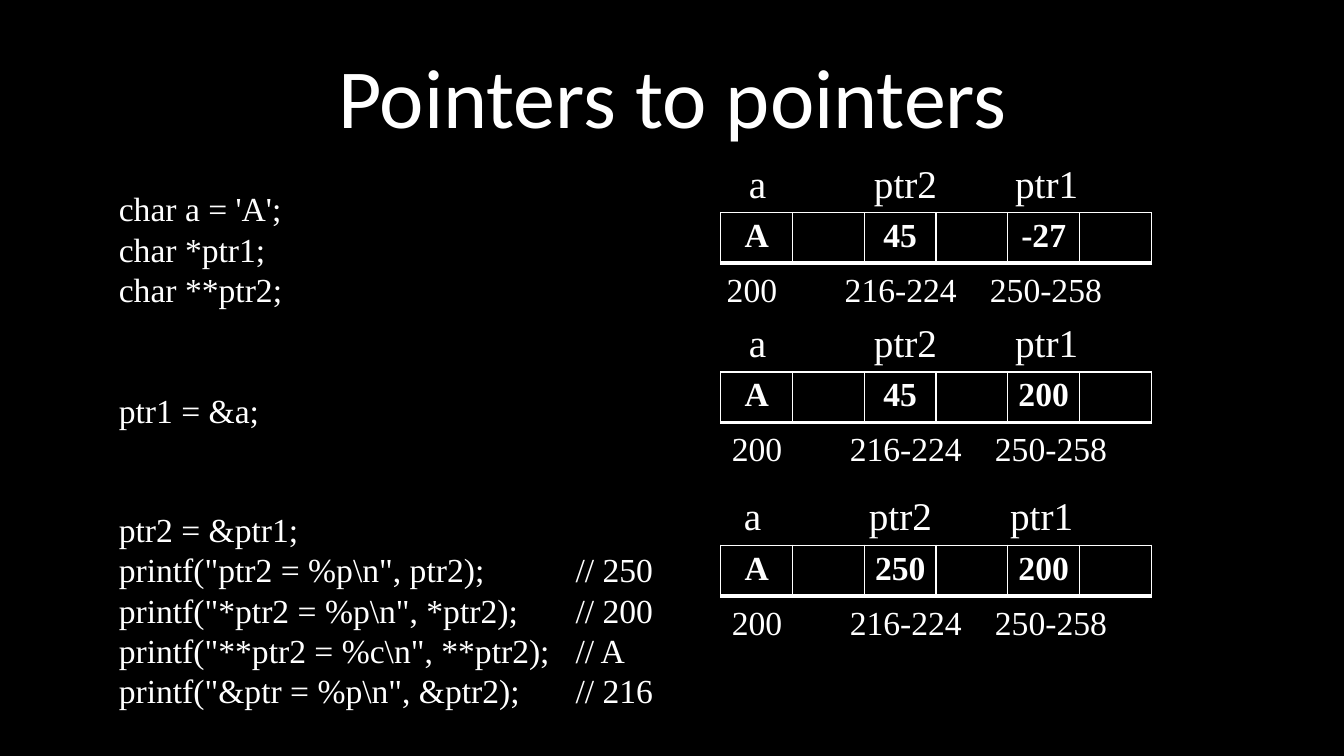
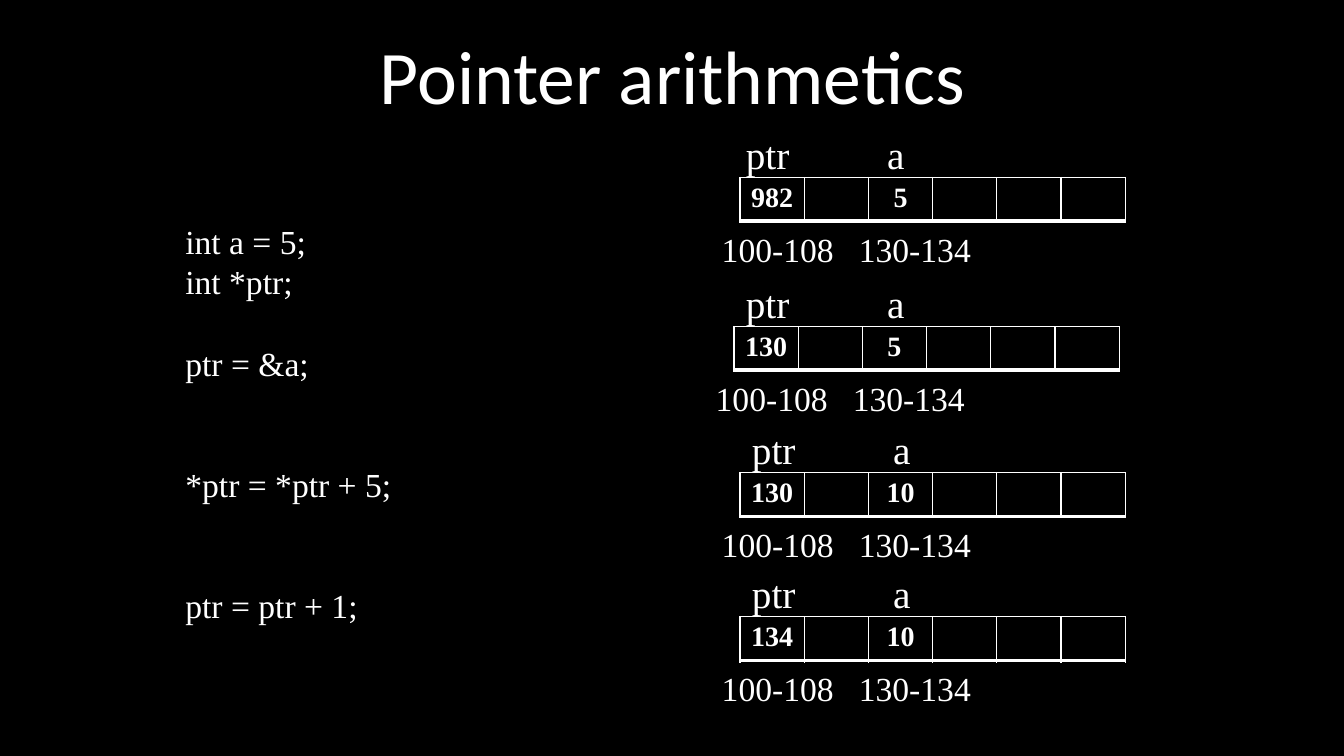
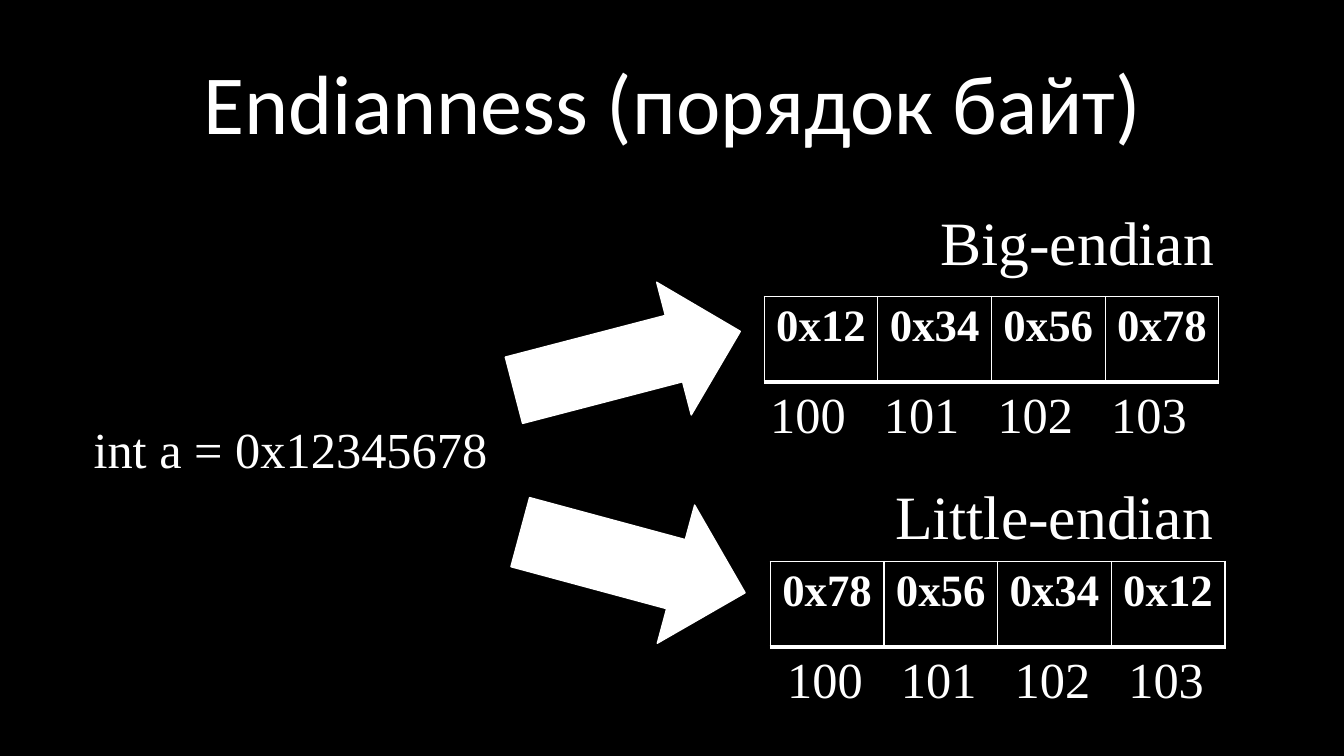
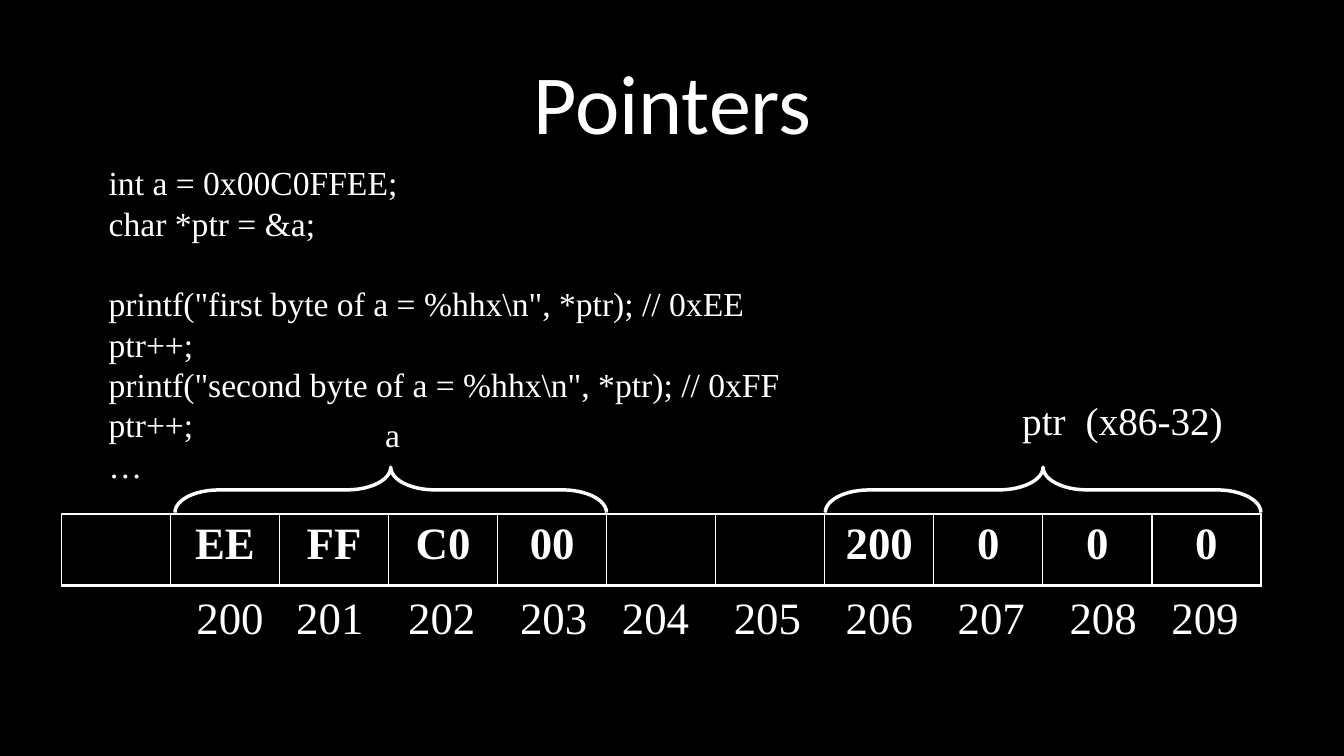
from dataclasses import dataclass

import pptx
import pptx.dml.color
import pptx.enum.shapes
import pptx.enum.text
import pptx.oxml.ns
import pptx.oxml.xmlchemy
import pptx.presentation
import pptx.shapes.autoshape
import pptx.slide
import pptx.util
from lxml import etree

Inches = pptx.util.Inches
Pt = pptx.util.Pt
qn = pptx.oxml.ns.qn

COLORS = {"ground": "000000", "ink": "FFFFFF"}
TITLE_FONT = "Calibri"
TEXT_FONT = "Times New Roman"
LINE_FACTOR = 1.2
CODE_SIZE = 24
BORDERS = {"lnL": 1, "lnR": 1, "lnT": 1, "lnB": 3}


@dataclass(frozen=True)
class Note:
    left: float
    top: float
    width: float
    lines: tuple[str, ...]
    size: float = CODE_SIZE
    tabs: tuple[float, ...] = ()


@dataclass(frozen=True)
class Strip:
    left: float
    top: float
    width: float
    height: float
    cells: tuple[str, ...]
    size: float


@dataclass(frozen=True)
class MemoryStyle:
    width: float
    height: float
    size: float
    labels: str
    label_rise: float
    label_tabs: tuple[float, ...]
    addresses: str
    address_drop: float
    address_tabs: tuple[float, ...]


@dataclass(frozen=True)
class MemoryState:
    left: float
    top: float
    cells: tuple[str, ...]
    label_left: float
    address_left: float


@dataclass(frozen=True)
class Endian:
    name: str
    name_left: float
    name_top: float
    name_width: float
    left: float
    top: float
    cells: tuple[str, ...]
    address_left: float


@dataclass(frozen=True)
class Figure:
    kind: pptx.enum.shapes.MSO_SHAPE
    left: float
    top: float
    width: float
    height: float
    rotation: float
    line_width: float
    filled: bool = True
    adjustments: tuple[float, ...] = ()


def color(name: str) -> pptx.dml.color.RGBColor:
    return pptx.dml.color.RGBColor.from_string(COLORS[name])


def style_font(para, face: str, size: float, bold: bool = False) -> None:
    para.font.name = face
    para.font.size = Pt(size)
    para.font.bold = bold
    para.font.color.rgb = color("ink")


def add_page(deck: pptx.presentation.Presentation, title: str, top: float = 0.29,
             height: float = 1.27, size: float = 60) -> pptx.slide.Slide:
    page = deck.slides.add_slide(deck.slide_layouts[6])
    box = page.shapes.add_textbox(Inches(1.74), Inches(top), Inches(9.86), Inches(height))
    frame = box.text_frame
    frame.word_wrap = True
    frame.vertical_anchor = pptx.enum.text.MSO_ANCHOR.BOTTOM
    para = frame.paragraphs[0]
    para.text = title
    para.alignment = pptx.enum.text.PP_ALIGN.CENTER
    para.line_spacing = 0.9
    style_font(para, TITLE_FONT, size)
    return page


def add_tabs(para, tabs: tuple[float, ...]) -> None:
    properties = para._p.get_or_add_pPr()
    tab_list = etree.Element(qn("a:tabLst"))
    for position in tabs:
        etree.SubElement(tab_list, qn("a:tab"), pos=str(Inches(position)), algn="l")
    properties.find(qn("a:defRPr")).addprevious(tab_list)


def add_note(page: pptx.slide.Slide, note: Note) -> None:
    pitch = note.size * LINE_FACTOR
    height = Inches(0.1) + Pt(pitch * len(note.lines))
    box = page.shapes.add_textbox(Inches(note.left), Inches(note.top), Inches(note.width), height)
    frame = box.text_frame
    frame.word_wrap = True
    para = frame.paragraphs[0]
    gap = 0
    for index, line in enumerate(note.lines):
        if not line:
            gap += 1
            continue
        if index:
            para = frame.add_paragraph()
        para.text = line
        para.line_spacing = Pt(pitch)
        para.space_before = Pt(pitch * gap)
        style_font(para, TEXT_FONT, note.size)
        if note.tabs:
            add_tabs(para, note.tabs)
        gap = 0


def add_borders(cell) -> None:
    properties = cell._tc.get_or_add_tcPr()
    for index, (side, width) in enumerate(BORDERS.items()):
        line = etree.Element(qn(f"a:{side}"), w=str(Pt(width)))
        fill = etree.SubElement(line, qn("a:solidFill"))
        etree.SubElement(fill, qn("a:srgbClr"), val=COLORS["ink"])
        properties.insert(index, line)


def add_strip(page: pptx.slide.Slide, strip: Strip) -> None:
    table = page.shapes.add_table(
        1, len(strip.cells), Inches(strip.left), Inches(strip.top),
        Inches(strip.width), Inches(strip.height)).table
    table.first_row = False
    table.horz_banding = False
    for cell, value in zip(table.rows[0].cells, strip.cells):
        cell.fill.solid()
        cell.fill.fore_color.rgb = color("ground")
        para = cell.text_frame.paragraphs[0]
        para.text = value
        para.alignment = pptx.enum.text.PP_ALIGN.CENTER
        style_font(para, TEXT_FONT, strip.size, bold=True)
        add_borders(cell)


def add_memory(page: pptx.slide.Slide, style: MemoryStyle, state: MemoryState) -> None:
    add_strip(page, Strip(state.left, state.top, style.width, style.height,
                          state.cells, style.size))
    add_note(page, Note(state.label_left, state.top - style.label_rise, 4.5,
                        (style.labels,), 28, style.label_tabs))
    add_note(page, Note(state.address_left, state.top + style.address_drop, 4.5,
                        (style.addresses,), 24, style.address_tabs))


def add_figure(page: pptx.slide.Slide, figure: Figure) -> None:
    shape = page.shapes.add_shape(figure.kind, Inches(figure.left), Inches(figure.top),
                                  Inches(figure.width), Inches(figure.height))
    shape.shadow.inherit = False
    shape.rotation = figure.rotation
    for index, value in enumerate(figure.adjustments):
        shape.adjustments[index] = value
    if figure.filled:
        shape.fill.solid()
        shape.fill.fore_color.rgb = color("ink")
    else:
        shape.fill.background()
    shape.line.color.rgb = color("ink")
    shape.line.width = Pt(figure.line_width)


def build_pointers_to_pointers(deck: pptx.presentation.Presentation) -> None:
    page = add_page(deck, "Pointers to pointers", top=0.23)
    add_note(page, Note(1.08, 1.82, 2.49, (
        "char a = 'A';", "char *ptr1;", "char **ptr2;", "", "", "ptr1 = &a;")))
    add_note(page, Note(1.08, 5, 6, (
        "ptr2 = &ptr1;",
        'printf("ptr2 = %p\\n", ptr2);\t// 250',
        'printf("*ptr2 = %p\\n", *ptr2);\t// 200',
        'printf("**ptr2 = %c\\n", **ptr2);\t// A',
        'printf("&ptr = %p\\n", &ptr2);\t// 216'), tabs=(4.53,)))
    style = MemoryStyle(4.27, 0.5, 24, "a\tptr2\tptr1", 0.58, (1.24, 2.64),
                        "200\t216-224\t250-258", 0.51, (1.17, 2.61))
    for state in (
        MemoryState(7.15, 2.11, ("A", "", "45", "", "-27", ""), 7.33, 7.11),
        MemoryState(7.15, 3.69, ("A", "", "45", "", "200", ""), 7.33, 7.16),
        MemoryState(7.15, 5.41, ("A", "", "250", "", "200", ""), 7.28, 7.16),
    ):
        add_memory(page, style, state)


def build_pointer_arithmetics(deck: pptx.presentation.Presentation) -> None:
    page = add_page(deck, "Pointer arithmetics", top=0.28, height=0.97, size=54)
    add_note(page, Note(1.74, 2.14, 3, ("int a = 5;", "int *ptr;")))
    add_note(page, Note(1.74, 3.35, 3, (
        "ptr = &a;", "", "", "*ptr = *ptr + 5;", "", "", "ptr = ptr + 1;")))
    style = MemoryStyle(3.82, 0.43, 20, "ptr\ta", 0.52, (1.4,),
                        "100-108\t130-134", 0.46, (1.36,))
    for state in (
        MemoryState(7.34, 1.76, ("982", "", "5", "", "", ""), 7.3, 7.06),
        MemoryState(7.28, 3.24, ("130", "", "5", "", "", ""), 7.3, 7),
        MemoryState(7.34, 4.69, ("130", "", "10", "", "", ""), 7.36, 7.06),
        MemoryState(7.34, 6.12, ("134", "", "10", "", "", ""), 7.36, 7.06),
    ):
        add_memory(page, style, state)


def build_endianness(deck: pptx.presentation.Presentation) -> None:
    page = add_page(deck, "Endianness (порядок байт)")
    add_note(page, Note(0.83, 4.1, 4.2, ("int a = 0x12345678",), 36))
    digits = ("0x12", "0x34", "0x56", "0x78")
    column = 4.51 / len(digits)
    tabs = tuple(column * index for index in range(1, len(digits)))
    for order in (
        Endian("Big-endian", 9.23, 1.97, 3, 7.58, 2.94, digits, 7.54),
        Endian("Little-endian", 8.78, 4.69, 3.45, 7.64, 5.57, digits[::-1], 7.71),
    ):
        add_strip(page, Strip(order.left, order.top, 4.51, 0.85, order.cells, 32))
        add_note(page, Note(order.name_left, order.name_top, order.name_width,
                            (order.name,), 44))
        add_note(page, Note(order.address_left, order.top + 0.81, 4.6,
                            ("100\t101\t102\t103",), 36, tabs))
    arrow = pptx.enum.shapes.MSO_SHAPE.RIGHT_ARROW
    add_figure(page, Figure(arrow, 5.06, 2.9, 2.32, 1.36, 345.4, 1))
    add_figure(page, Figure(arrow, 5.12, 4.87, 2.31, 1.42, 15.1, 1))


def build_pointers(deck: pptx.presentation.Presentation) -> None:
    page = add_page(deck, "Pointers")
    add_strip(page, Strip(0.61, 5.1, 11.9, 0.71, (
        "", "EE", "FF", "C0", "00", "", "", "200", "0", "0", "0"), 32))
    addresses = "\t".join(str(number) for number in range(200, 210))
    add_note(page, Note(1.85, 5.8, 10.84, (addresses,), 32,
                        (0.99, 2.1, 3.21, 4.22, 5.33, 6.44, 7.55, 8.66, 9.67)))
    add_note(page, Note(0.98, 1.56, 7.2, (
        "int a = 0x00C0FFEE;",
        "char *ptr = &a;",
        "",
        'printf("first byte of a = %hhx\\n", *ptr); // 0xEE',
        "ptr++;",
        'printf("second byte of a = %hhx\\n", *ptr); // 0xFF',
        "ptr++;",
        "…")))
    add_note(page, Note(3.72, 4.06, 0.45, ("a",)))
    add_note(page, Note(10.04, 3.88, 2.68, ("ptr\t(x86-32)",), 28, (0.63,)))
    brace = pptx.enum.shapes.MSO_SHAPE.LEFT_BRACE
    for left, top, height in ((3.65, 2.72, 4.28), (10.12, 2.7, 4.32)):
        add_figure(page, Figure(brace, left, top, 0.45, height, 90, 2.5,
                                filled=False, adjustments=(0.97, 0.5)))


def main() -> None:
    deck = pptx.Presentation()
    deck.slide_width = Inches(13.33)
    deck.slide_height = Inches(7.5)
    ground = deck.slide_master.background.fill
    ground.solid()
    ground.fore_color.rgb = color("ground")
    build_pointers_to_pointers(deck)
    build_pointer_arithmetics(deck)
    build_endianness(deck)
    build_pointers(deck)
    deck.save("out.pptx")


if __name__ == "__main__":
    main()
